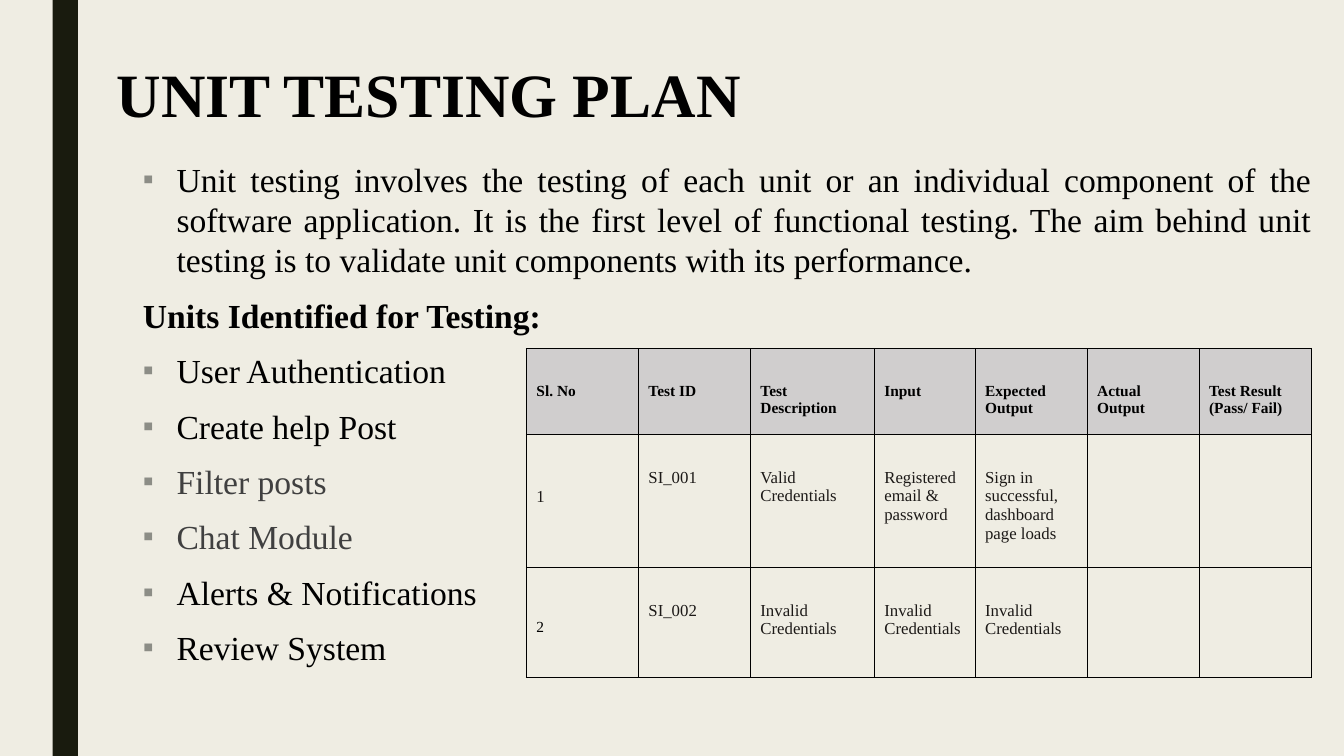
import pptx
import pptx.util
import pptx.dml.color
import pptx.enum.shapes
import pptx.enum.text
import pptx.oxml
import pptx.oxml.ns

Pt = pptx.util.Pt
RGBColor = pptx.dml.color.RGBColor
PP_ALIGN = pptx.enum.text.PP_ALIGN
MSO_ANCHOR = pptx.enum.text.MSO_ANCHOR

BACKGROUND = RGBColor(0xEF, 0xED, 0xE3)
BAR = RGBColor(0x19, 0x1B, 0x0E)
BLACK = RGBColor(0, 0, 0)
GREY = RGBColor(0x40, 0x40, 0x40)
CELL_TEXT = RGBColor(0x1C, 0x19, 0x17)
HEADER_FILL = RGBColor(0xD0, 0xCE, 0xCE)
BULLET = RGBColor(0x8C, 0x8D, 0x86)
FONT = "Times New Roman"

INTRODUCTION = (
    "Unit testing involves the testing of each unit or an individual component of the "
    "software application. It is the first level of functional testing. The aim behind "
    "unit testing is to validate unit components with its performance."
)
UNITS = [
    ("User Authentication", BLACK),
    ("Create help Post", BLACK),
    ("Filter posts", GREY),
    ("Chat Module", GREY),
    ("Alerts & Notifications", BLACK),
    ("Review System", BLACK),
]
COLUMN_WIDTHS = [80, 80, 88.5, 72, 80, 80, 80]
ROW_HEIGHTS = [61.2, 95, 79]
HEADERS = ["Sl. No", "Test ID", "Test Description", "Input", "Expected\nOutput",
           "Actual\nOutput", "Test Result\n(Pass/ Fail)"]
TESTS = [
    ["1", "SI_001", "Valid Credentials", "Registered email & password",
     "Sign in successful, dashboard page loads", "", ""],
    ["2", "SI_002", "Invalid Credentials", "Invalid Credentials",
     "Invalid Credentials", "", ""],
]
CELL_TOP = 24.3
NUMBER_TOPS = [38.1, 36.9]
NUMBER_STYLES = [(12, CELL_TEXT), (11, BLACK)]


def add_run(paragraph, text, size, color, bold=False):
    run = paragraph.add_run()
    run.text = text
    run.font.name = FONT
    run.font.size = Pt(size)
    run.font.bold = bold
    run.font.color.rgb = color


def add_frame(slide, box, anchor):
    frame = slide.shapes.add_textbox(*map(Pt, box)).text_frame
    frame.word_wrap = True
    frame.vertical_anchor = anchor
    return frame


def add_bullet(paragraph):
    properties = paragraph._p.get_or_add_pPr()
    properties.set("marL", str(Pt(24)))
    properties.set("indent", str(-Pt(24)))
    namespace = pptx.oxml.ns.nsdecls("a")
    for markup in (
        f'<a:buClr {namespace}><a:srgbClr val="{BULLET}"/></a:buClr>',
        f'<a:buSzPct {namespace} val="92000"/>',
        f'<a:buFont {namespace} typeface="{FONT}"/>',
        f'<a:buChar {namespace} char="▪"/>',
    ):
        properties.append(pptx.oxml.parse_xml(markup))


def add_side_bar(slide, box):
    bar = slide.shapes.add_shape(pptx.enum.shapes.MSO_SHAPE.RECTANGLE, *map(Pt, box))
    bar.shadow.inherit = False
    bar.fill.solid()
    bar.fill.fore_color.rgb = BAR
    bar.line.fill.background()


def add_title(slide, box):
    frame = add_frame(slide, box, MSO_ANCHOR.BOTTOM)
    add_run(frame.paragraphs[0], "UNIT TESTING PLAN", 44, BLACK, True)


def add_body(slide, box):
    frame = add_frame(slide, box, MSO_ANCHOR.TOP)
    frame.margin_top = 0
    entries = [(INTRODUCTION, BLACK), ("Units Identified for Testing:", BLACK)] + UNITS
    for index, (text, color) in enumerate(entries):
        paragraph = frame.add_paragraph() if index else frame.paragraphs[0]
        paragraph.alignment = PP_ALIGN.LEFT if index else PP_ALIGN.JUSTIFY
        paragraph.line_spacing = Pt(28.6)
        paragraph.space_after = Pt(11)
        is_heading = index == 1
        if not is_heading:
            add_bullet(paragraph)
        add_run(paragraph, text, 24, color, is_heading)


def add_borders(cell):
    properties = cell._tc.get_or_add_tcPr()
    for index, side in enumerate(("lnL", "lnR", "lnT", "lnB")):
        border = pptx.oxml.parse_xml(
            f'<a:{side} {pptx.oxml.ns.nsdecls("a")} w="{Pt(0.75)}"><a:solidFill>'
            f'<a:srgbClr val="{BLACK}"/></a:solidFill></a:{side}>'
        )
        properties.insert(index, border)


def fill_cell(cell, text, size, color, top, is_header):
    cell.margin_top = Pt(top)
    if is_header:
        cell.fill.solid()
        cell.fill.fore_color.rgb = HEADER_FILL
    else:
        cell.fill.background()
    add_borders(cell)
    if not text:
        return
    for index, line in enumerate(text.split("\n")):
        frame = cell.text_frame
        paragraph = frame.add_paragraph() if index else frame.paragraphs[0]
        add_run(paragraph, line, size, color, is_header)


def add_test_table(slide, left, top):
    table = slide.shapes.add_table(
        len(ROW_HEIGHTS), len(COLUMN_WIDTHS), Pt(left), Pt(top),
        Pt(sum(COLUMN_WIDTHS)), Pt(sum(ROW_HEIGHTS)),
    ).table
    table.first_row = False
    table.horz_banding = False
    for column, width in zip(table.columns, COLUMN_WIDTHS):
        column.width = Pt(width)
    for row, height in zip(table.rows, ROW_HEIGHTS):
        row.height = Pt(height)
    for index, text in enumerate(HEADERS):
        fill_cell(table.cell(0, index), text, 11, BLACK, CELL_TOP, True)
    for row_index, test in enumerate(TESTS):
        for index, text in enumerate(test):
            size, color = (12, CELL_TEXT) if index else NUMBER_STYLES[row_index]
            cell_top = CELL_TOP if index else NUMBER_TOPS[row_index]
            fill_cell(table.cell(row_index + 1, index), text, size, color, cell_top, False)


def build_slide(presentation):
    slide = presentation.slides.add_slide(presentation.slide_layouts[6])
    slide.background.fill.solid()
    slide.background.fill.fore_color.rgb = BACKGROUND
    add_side_bar(slide, (37.6, 0, 18, 540))
    add_title(slide, (76.3, 30.2, 868.3, 66.2))
    add_body(slide, (95, 113.8, 848.9, 400))
    add_test_table(slide, 376, 249)


presentation = pptx.Presentation()
presentation.slide_width = Pt(960)
presentation.slide_height = Pt(540)
build_slide(presentation)
presentation.save("out.pptx")
